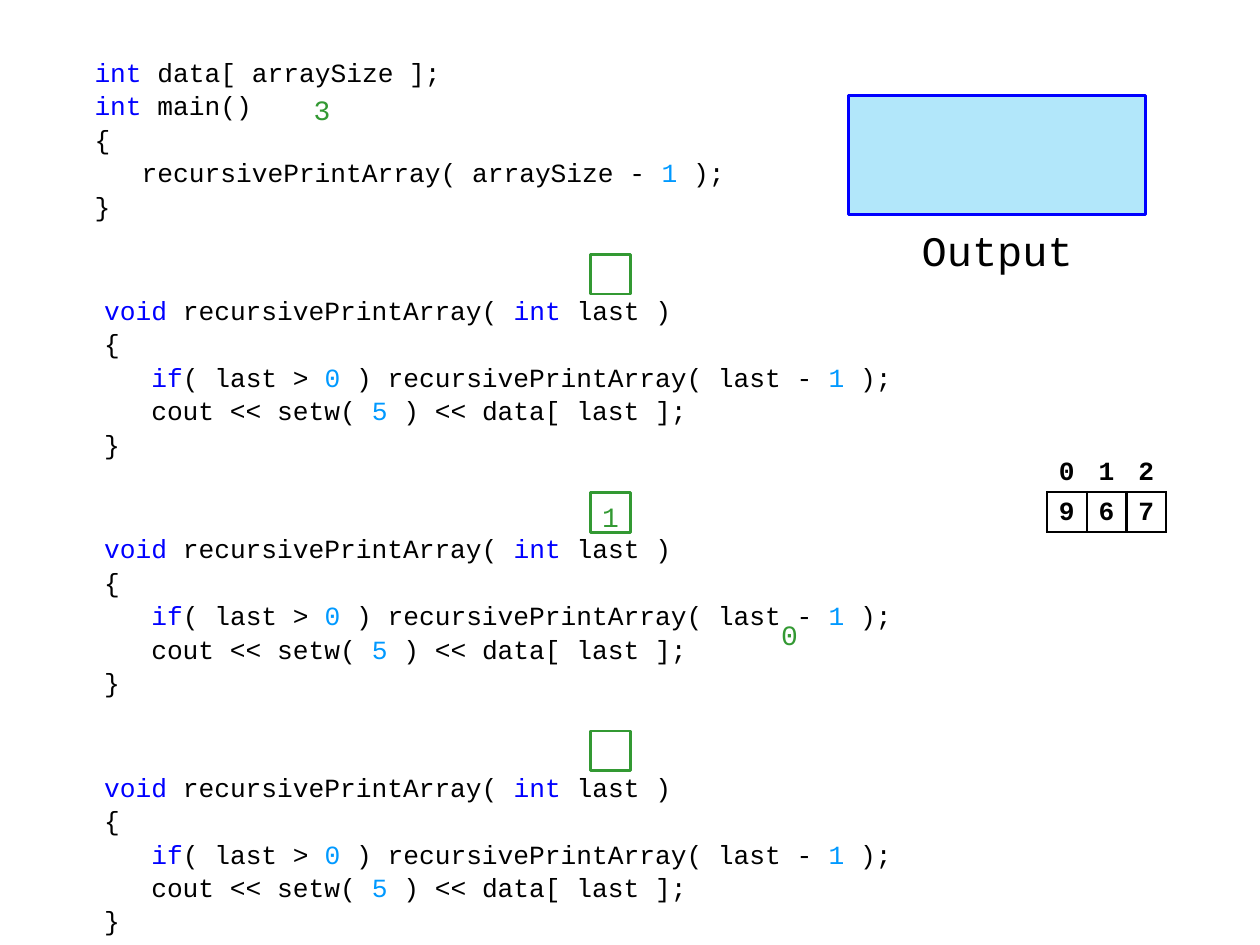
from dataclasses import dataclass

from lxml import etree
from pptx import Presentation
from pptx import util as u
from pptx.dml import color
from pptx.enum import shapes, text
from pptx.oxml import ns

Pt = u.Pt


@dataclass(frozen=True)
class Theme:
    font: str = "Courier New"
    ink: str = "000000"
    keyword: str = "0000FF"
    number: str = "0099FF"
    value: str = "339933"
    screen: str = "00B0F0"
    screen_alpha: int = 30
    code_size: int = 15
    value_size: int = 16
    caption_size: int = 24
    line_width: float = 1.5


THEME = Theme()
KEYWORDS = {"int", "void", "if"}
CELL = 22.68
LEFT = 42.5
CODE_HEIGHT = 102
FRAME_STEP = 136.2

MAIN_CODE = [
    ["int", " data[ arraySize ];"],
    ["int", " main()"],
    ["{"],
    ["   recursivePrintArray( arraySize - ", "1", " );"],
    ["}"],
]
FUNCTION_CODE = [
    ["void", " recursivePrintArray( ", "int", " last )"],
    ["{"],
    ["   ", "if", "( last > ", "0", " ) recursivePrintArray( last - ", "1", " );"],
    ["   cout << setw( ", "5", " ) << data[ last ];"],
    ["}"],
]


def rgb(value):
    return color.RGBColor.from_string(value)


def style_font(font, size, colour, bold=False):
    font.name = THEME.font
    font.size = Pt(size)
    font.bold = bold
    font.color.rgb = rgb(colour)


def set_margins(target, left, top, right, bottom):
    target.margin_left, target.margin_top = Pt(left), Pt(top)
    target.margin_right, target.margin_bottom = Pt(right), Pt(bottom)


def token_colour(token):
    if token in KEYWORDS:
        return THEME.keyword
    return THEME.number if token.isdigit() else THEME.ink


def add_code(slide, top, width, lines, left_margin, right_margin):
    shape = slide.shapes.add_textbox(Pt(LEFT), Pt(top), Pt(width), Pt(CODE_HEIGHT))
    frame = shape.text_frame
    frame.word_wrap = True
    set_margins(frame, left_margin, 12, right_margin, 7.2)
    for index, tokens in enumerate(lines):
        paragraph = frame.add_paragraph() if index else frame.paragraphs[0]
        paragraph.space_after = Pt(1.1)
        for token in tokens:
            run = paragraph.add_run()
            run.text = token
            style_font(run.font, THEME.code_size, token_colour(token))


def write_centred(shape, content, size, colour, top_margin):
    frame = shape.text_frame
    frame.text = content
    frame.word_wrap = False
    frame.vertical_anchor = text.MSO_ANCHOR.MIDDLE
    set_margins(frame, 7.2, top_margin, 7.2, 0)
    paragraph = frame.paragraphs[0]
    paragraph.alignment = text.PP_ALIGN.CENTER
    style_font(paragraph.runs[0].font, size, colour)


def add_label(slide, content, left, top, width, height, size, colour, top_margin=4):
    shape = slide.shapes.add_textbox(Pt(left), Pt(top), Pt(width), Pt(height))
    write_centred(shape, content, size, colour, top_margin)


def add_box(slide, left, top, width, height, line_colour):
    shape = slide.shapes.add_shape(
        shapes.MSO_SHAPE.RECTANGLE, Pt(left), Pt(top), Pt(width), Pt(height))
    shape.shadow.inherit = False
    shape.fill.background()
    shape.line.color.rgb = rgb(line_colour)
    shape.line.width = Pt(THEME.line_width)
    return shape


def add_screen(slide):
    shape = add_box(slide, 484.7, 54.5, 170, 68, THEME.keyword)
    shape.fill.solid()
    shape.fill.fore_color.rgb = rgb(THEME.screen)
    colour = shape.fill._xPr.find(".//" + ns.qn("a:srgbClr"))
    etree.SubElement(colour, ns.qn("a:alpha"), val=str(THEME.screen_alpha * 1000))
    add_label(slide, "Output", 507.6, 122.4, 124.5, 34, THEME.caption_size, THEME.ink, 6)


def add_borders(cell, sides):
    properties = cell._tc.get_or_add_tcPr()
    for position, side in enumerate(sides):
        line = etree.Element(ns.qn("a:ln" + side), w=str(Pt(THEME.line_width)))
        fill = etree.SubElement(line, ns.qn("a:solidFill"))
        etree.SubElement(fill, ns.qn("a:srgbClr"), val=THEME.ink)
        properties.insert(position, line)


def add_array(slide, values):
    count = len(values)
    rows = [(range(count), "B"), (values, "LRTB")]
    table = slide.shapes.add_table(
        len(rows), count, Pt(598.3), Pt(258.5), Pt(CELL * count), Pt(CELL * len(rows))).table
    table.first_row = False
    table.horz_banding = False
    for line in [*table.columns]:
        line.width = Pt(CELL)
    for line, (contents, sides) in zip(table.rows, rows):
        line.height = Pt(CELL)
        for cell, content in zip(line.cells, contents):
            cell.text = str(content)
            cell.fill.background()
            cell.vertical_anchor = text.MSO_ANCHOR.MIDDLE
            set_margins(cell, 6, 1.4, 6, 0)
            paragraph = cell.text_frame.paragraphs[0]
            paragraph.alignment = text.PP_ALIGN.CENTER
            style_font(paragraph.runs[0].font, THEME.code_size, THEME.ink, bold=True)
            add_borders(cell, sides)


def add_call(slide, index, argument):
    offset = index * FRAME_STEP
    add_code(slide, 156.2 + offset, 556, FUNCTION_CODE, 17, 2.9)
    box = add_box(slide, 337.5, 145.3 + offset, CELL, CELL, THEME.value)
    if argument:
        write_centred(box, argument, THEME.value_size, THEME.value, 4)


def main():
    presentation = Presentation()
    presentation.slide_width, presentation.slide_height = Pt(720), Pt(540)
    slide = presentation.slides.add_slide(presentation.slide_layouts[6])
    add_code(slide, 20.2, 442, MAIN_CODE, 11.5, 7.2)
    for index, argument in enumerate(["", "1", ""]):
        add_call(slide, index, argument)
    add_label(slide, "3", 167, 43.2, 34, 34, THEME.value_size, THEME.value)
    add_label(slide, "0", 439.3, 349.4, CELL, CELL, THEME.value_size, THEME.value)
    add_screen(slide)
    add_array(slide, [9, 6, 7])
    presentation.save("out.pptx")


if __name__ == "__main__":
    main()
